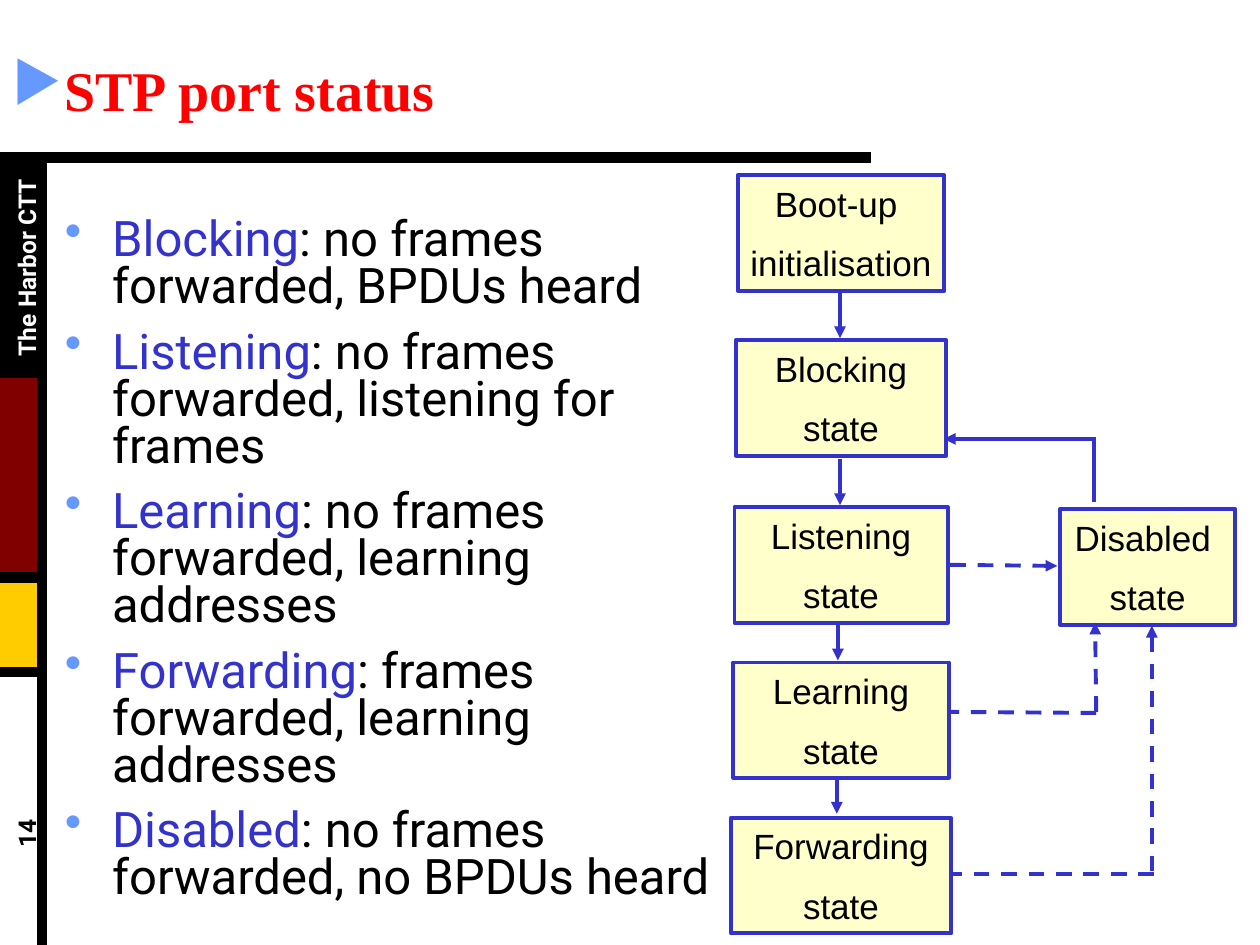
"""Build the slide on STP port status, with its state diagram."""
from lxml import etree
from pptx import Presentation
from pptx.dml.color import RGBColor
from pptx.enum.dml import MSO_LINE
from pptx.enum.shapes import MSO_CONNECTOR, MSO_SHAPE
from pptx.enum.text import MSO_ANCHOR, PP_ALIGN
from pptx.oxml.ns import qn
from pptx.util import Inches, Pt

RECT = MSO_SHAPE.RECTANGLE
LINE = MSO_CONNECTOR.STRAIGHT
DASH = MSO_LINE.DASH
MID = MSO_ANCHOR.MIDDLE
LEFT, MIDST = PP_ALIGN.LEFT, PP_ALIGN.CENTER
BLUE, BLACK, SKY = "3333CC", "000000", "6699FF"
UNIT = Inches(1) / 12
COLS, ROWS = 120, 90

TITLE = {"name": "Times New Roman", "size": Pt(32), "bold": True}
BODY = {"name": "Roboto", "size": Pt(28), "bold": False}
SIDE = {"name": "Roboto", "size": Pt(14), "bold": True}
STATE = {"name": "Arial", "size": Pt(20), "bold": False}


def tint(code):
    return RGBColor.from_string(code)


def write(shape, rows, style, align, gap=0, lead=None, mark=None, hang=0):
    frame = shape.text_frame
    frame.vertical_anchor = MID
    for i, row in enumerate(rows):
        para = frame.add_paragraph() if i else frame.paragraphs[0]
        para.alignment = align
        para.space_before = Pt(gap if i else 0)
        if lead:
            para.line_spacing = lead
        if mark:
            props = para._p.get_or_add_pPr()
            props.set("marL", str(int(hang * UNIT)))
            props.set("indent", str(int(-hang * UNIT)))
            shade = etree.SubElement(props, qn("a:buClr"))
            etree.SubElement(shade, qn("a:srgbClr"), val=SKY)
            etree.SubElement(props, qn("a:buChar"), char=mark)
        for text, code in row:
            run = para.add_run()
            run.text = text
            run.font.color.rgb = tint(code)
            for key, value in style.items():
                setattr(run.font, key, value)


deck = Presentation()
deck.slide_width, deck.slide_height = int(COLS * UNIT), int(ROWS * UNIT)
slide = deck.slides.add_slide(deck.slide_layouts[6])
shapes = slide.shapes

bands = [(15, 21, BLACK), (36, 19, "800000"), (55, 9, "FFCC00")]
for top, high, code in bands:
    band = shapes.add_shape(RECT, 0, int(top * UNIT), int(4 * UNIT), int(high * UNIT))
    band.shadow.inherit = False
    band.fill.solid()
    band.fill.fore_color.rgb = band.line.color.rgb = tint(code)
    band.line.width = Pt(0.25)

for text, code, top in [("The Harbor CTT", "FFFFFF", 24.1), ("14", BLACK, 78)]:
    side = shapes.add_textbox(*[int(n * UNIT) for n in (-8, top, 21, 2.8)])
    side.rotation = 270
    frame = side.text_frame
    frame.margin_left = frame.margin_right = 0
    frame.margin_top = frame.margin_bottom = 0
    write(side, [[(text, code)]], SIDE, MIDST)

head = shapes.add_textbox(0, int(4 * UNIT), int(COLS * UNIT), int(9 * UNIT))
head.text_frame.word_wrap = True
write(head, [[("STP port status", "FF0000")]], TITLE, LEFT, mark="▶")

terms = {
    "Blocking": "no frames forwarded, BPDUs heard",
    "Listening": "no frames forwarded, listening for frames",
    "Learning": "no frames forwarded, learning addresses",
    "Forwarding": "frames forwarded, learning addresses",
    "Disabled": "no frames forwarded, no BPDUs heard",
}
list_box = shapes.add_textbox(*[int(n * UNIT) for n in (5, 17, 67, 73)])
list_box.text_frame.word_wrap = True
rows = [[(term, BLUE), (": " + text, BLACK)] for term, text in terms.items()]
write(list_box, rows, BODY, LEFT, gap=10.5, lead=0.8, mark="•", hang=4.5)

states = [
    ("Boot-up ", "initialisation", 80.1, 16.7, 19.7),
    ("Blocking", "state", 80.1, 32.4, 20),
    ("Listening", "state", 80.1, 48.3, 20.3),
    ("Learning", "state", 80.1, 63.1, 20.5),
    ("Forwarding", "state", 80.1, 77.9, 21),
    ("Disabled ", "state", 109.3, 48.5, 16.7),
]
for first, last, mid, top, wide in states:
    place = (mid - wide / 2, top, wide, 11)
    box = shapes.add_shape(RECT, *[int(n * UNIT) for n in place])
    box.shadow.inherit = False
    box.fill.solid()
    box.fill.fore_color.rgb = tint("FFFFCC")
    box.line.color.rgb = tint(BLUE)
    box.line.width = Pt(2.25)
    box.text_frame.word_wrap = False
    write(box, [[(first, BLACK)], [(last, BLACK)]], STATE, MIDST, gap=10)

rules = [(0, 15, 83, 15), (4, 15, 4, 90), (0, 55, 4, 55), (0, 64, 4, 64)]
steps = [(80, 27.8, 32.2), (80, 43.7, 48.1), (79.8, 59.4, 62.9), (79.7, 74.2, 77.5)]
wires = [(ends, BLACK, 6, False, False) for ends in rules]
wires += [((x, top, x, end), BLUE, 2.25, False, True) for x, top, end in steps]
turns = [
    ((104.2, 47.8, 104.2, 41.8), False, False),
    ((104.4, 41.8, 89.9, 41.8), False, True),
    ((90.5, 53.8, 100.7, 53.9), True, True),
    ((104.4, 67.9, 90.4, 67.8), True, False),
    ((104.4, 67.8, 104.3, 59.3), True, True),
    ((109.9, 83.2, 90.6, 83.2), True, False),
    ((109.7, 83, 109.7, 59.6), True, True),
]
wires += [(ends, BLUE, 2.25, dash, tip) for ends, dash, tip in turns]
for ends, code, thick, dash, tip in wires:
    wire = shapes.add_connector(LINE, *[int(n * UNIT) for n in ends])
    wire.line.color.rgb = tint(code)
    wire.line.width = Pt(thick)
    if dash:
        wire.line.dash_style = DASH
    if tip:
        etree.SubElement(wire.line._get_or_add_ln(), qn("a:tailEnd"), type="triangle")
    etree.SubElement(wire._element.spPr, qn("a:effectLst"))

deck.save("out.pptx")
